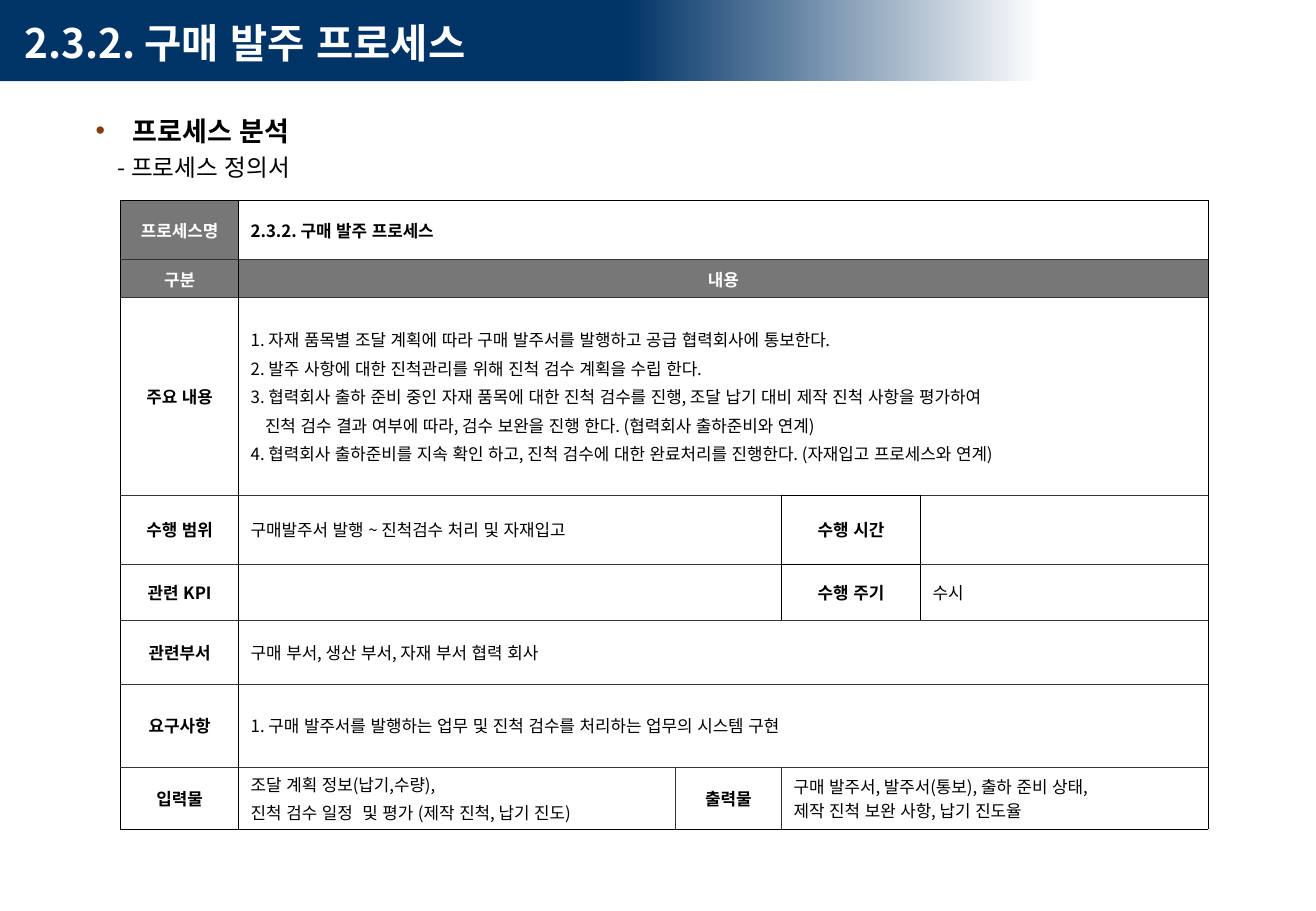
from dataclasses import dataclass

from lxml import etree
from pptx import Presentation
from pptx.dml.color import RGBColor
from pptx.enum.lang import MSO_LANGUAGE_ID
from pptx.enum.shapes import MSO_SHAPE
from pptx.enum.text import MSO_ANCHOR, PP_ALIGN
from pptx.oxml.ns import qn
from pptx.util import Pt

RECTANGLE = MSO_SHAPE.RECTANGLE
MIDDLE = MSO_ANCHOR.MIDDLE
LEFT, CENTER, JUSTIFY = PP_ALIGN.LEFT, PP_ALIGN.CENTER, PP_ALIGN.JUSTIFY
KOREAN = MSO_LANGUAGE_ID.KOREAN
FONT = "Noto Sans CJK KR"
NO_STYLE = "{2D5ABB26-0587-4C30-8999-92F81FD0307C}"
COLORS = {
    "navy": "003366",
    "white": "FFFFFF",
    "black": "000000",
    "charcoal": "333333",
    "gray": "777777",
    "brown": "843C0C",
}
COLUMN_WIDTHS = [70, 259, 63, 82.5, 170.5]
ROW_HEIGHTS = [35, 22.5, 117, 41, 33, 38, 49.3, 36.7]


@dataclass
class Entry:
    """One table cell; indented is the index of a line that continues the one before."""
    lines: tuple = ()
    span: int = 1
    header: bool = False
    label: bool = False
    bold: bool = False
    gap: float = 2.5
    indented: int = -1
    edges: str = ""


def header(text, span=1):
    return Entry((text,), span, header=True, label=True, bold=True)


def label(text, edges=""):
    return Entry((text,), label=True, bold=True, edges=edges)


DEFINITION = [
    [header("프로세스명"), Entry(("2.3.2. 구매 발주 프로세스",), 4, bold=True)],
    [header("구분"), header("내용", 4)],
    [label("주요 내용"), Entry((
        "1. 자재 품목별 조달 계획에 따라 구매 발주서를 발행하고 공급 협력회사에 통보한다.",
        "2. 발주 사항에 대한 진척관리를 위해 진척 검수 계획을 수립 한다.",
        "3. 협력회사 출하 준비 중인 자재 품목에 대한 진척 검수를 진행, 조달 납기 대비 제작 진척 사항을 평가하여",
        "진척 검수 결과 여부에 따라, 검수 보완을 진행 한다. (협력회사 출하준비와 연계)",
        "4. 협력회사 출하준비를 지속 확인 하고, 진척 검수에 대한 완료처리를 진행한다. (자재입고 프로세스와 연계)",
    ), 4, indented=3)],
    [label("수행 범위"), Entry(("구매발주서 발행 ~ 진척검수 처리 및 자재입고",), 2),
     label("수행 시간", "black"), Entry()],
    [label("관련 KPI"), Entry(span=2), label("수행 주기", "black"), Entry(("수시",))],
    [label("관련부서"), Entry(("구매 부서, 생산 부서, 자재 부서 협력 회사",), 4)],
    [label("요구사항"),
     Entry(("1. 구매 발주서를 발행하는 업무 및 진척 검수를 처리하는 업무의 시스템 구현",), 4)],
    [label("입력물"),
     Entry(("조달 계획 정보(납기,수량),", "진척 검수 일정  및 평가 (제작 진척, 납기 진도)")),
     label("출력물", "charcoal"),
     Entry(("구매 발주서, 발주서(통보), 출하 준비 상태,", "제작 진척 보완 사항, 납기 진도율"), 2, gap=0)],
]


def rgb(name):
    return RGBColor.from_string(COLORS[name])


def add_color(parent, tag, name):
    fill = etree.SubElement(parent, qn(tag))
    etree.SubElement(fill, qn("a:srgbClr"), val=COLORS[name])
    return fill


def add_run(paragraph, text, size, color, bold):
    run = paragraph.add_run()
    run.text = text
    run.font.size = Pt(size)
    run.font.bold = bold
    run.font.color.rgb = rgb(color)
    run.font.name = FONT
    run.font.language_id = KOREAN
    etree.SubElement(run.font._element, qn("a:ea"), typeface=FONT)


def set_indent(paragraph, margin, first_line=0):
    properties = paragraph._p.get_or_add_pPr()
    properties.set("marL", str(Pt(margin)))
    properties.set("indent", str(Pt(first_line)))
    return properties


def add_band(slide, left, width):
    band = slide.shapes.add_shape(RECTANGLE, Pt(left), Pt(0), Pt(width), Pt(48.2))
    band.shadow.inherit = False
    band.line.fill.background()
    return band


def add_header_bands(slide):
    fading = add_band(slide, 370, 248)
    fading.fill.gradient()
    fading.fill.gradient_angle = 0
    for stop, position, color in zip(fading.fill.gradient_stops, (0, 1), ("navy", "white")):
        stop.position = position
        stop.color.rgb = rgb(color)
    solid = add_band(slide, 0, 370)
    solid.fill.solid()
    solid.fill.fore_color.rgb = rgb("navy")


def add_text_frame(slide, left, top, width, height):
    box = slide.shapes.add_textbox(Pt(left), Pt(top), Pt(width), Pt(height))
    frame = box.text_frame
    frame.word_wrap = True
    frame.vertical_anchor = MIDDLE
    return frame


def add_title(slide):
    paragraph = add_text_frame(slide, 2, 7, 778, 36).paragraphs[0]
    set_indent(paragraph, 5.4)
    add_run(paragraph, "2.3.2. 구매 발주 프로세스", 24, "white", True)


def add_headings(slide):
    frame = add_text_frame(slide, 49.7, 60.5, 652, 50.4)
    heading = frame.paragraphs[0]
    properties = set_indent(heading, 22, -22)
    add_color(properties, "a:buClr", "brown")
    etree.SubElement(properties, qn("a:buFont"), typeface="Arial")
    etree.SubElement(properties, qn("a:buChar"), char="•")
    add_run(heading, "프로세스 분석", 16, "black", True)
    subheading = frame.add_paragraph()
    set_indent(subheading, 13)
    add_run(subheading, "- 프로세스 정의서", 14, "black", False)
    for paragraph in frame.paragraphs:
        paragraph.alignment = JUSTIFY
        paragraph.line_spacing = 1.2


def set_borders(cell, borders):
    """Draw borders, given as side to colour name, ahead of the cell's fill."""
    properties = cell._tc.get_or_add_tcPr()
    for side, color in borders.items():
        line = etree.SubElement(properties, qn(f"a:ln{side}"), w=str(Pt(0.45)))
        add_color(line, "a:solidFill", color)


def fill_cell(cell, entry):
    cell.fill.solid()
    cell.fill.fore_color.rgb = rgb("gray" if entry.header else "white")
    cell.vertical_anchor = MIDDLE
    cell.margin_top = cell.margin_bottom = Pt(1.3)
    for index, text in enumerate(entry.lines):
        frame = cell.text_frame
        paragraph = frame.add_paragraph() if index else frame.paragraphs[0]
        paragraph.alignment = CENTER if entry.label else LEFT
        if index:
            paragraph.space_before = Pt(entry.gap)
        if index == entry.indented:
            set_indent(paragraph, 8.5)
        add_run(paragraph, text, 10, "white" if entry.header else "black", entry.bold)


def add_entry(table, row, column, entry, left_color, right_color):
    last_row, last_column = len(ROW_HEIGHTS) - 1, column + entry.span - 1
    inner = entry.edges or "charcoal"
    borders = {"L": left_color, "R": right_color,
               "T": inner if row else "black",
               "B": inner if row < last_row else "black"}
    for position in range(column, last_column + 1):
        set_borders(table.cell(row, position), borders)
    cell = table.cell(row, column)
    if entry.span > 1:
        cell.merge(table.cell(row, last_column))
    fill_cell(cell, entry)


def add_definition_table(slide):
    frame = slide.shapes.add_table(len(ROW_HEIGHTS), len(COLUMN_WIDTHS), Pt(71.5), Pt(119),
                                   Pt(sum(COLUMN_WIDTHS)), Pt(sum(ROW_HEIGHTS)))
    table = frame.table
    table.first_row = table.horz_banding = False
    table._tbl.tblPr.find(qn("a:tableStyleId")).text = NO_STYLE
    for column, width in zip(table.columns, COLUMN_WIDTHS):
        column.width = Pt(width)
    for row, height in zip(table.rows, ROW_HEIGHTS):
        row.height = Pt(height)
    for row, entries in enumerate(DEFINITION):
        column = 0
        left_color = "black"
        for index, entry in enumerate(entries):
            following = entries[index + 1].edges if index + 1 < len(entries) else ""
            right_color = entry.edges or following or "black"
            add_entry(table, row, column, entry, left_color, right_color)
            left_color = right_color
            column += entry.span


def main():
    presentation = Presentation()
    presentation.slide_width = Pt(780.48)
    presentation.slide_height = Pt(540)
    slide = presentation.slides.add_slide(presentation.slide_layouts[6])
    add_header_bands(slide)
    add_headings(slide)
    add_definition_table(slide)
    add_title(slide)
    presentation.save("out.pptx")


if __name__ == "__main__":
    main()
